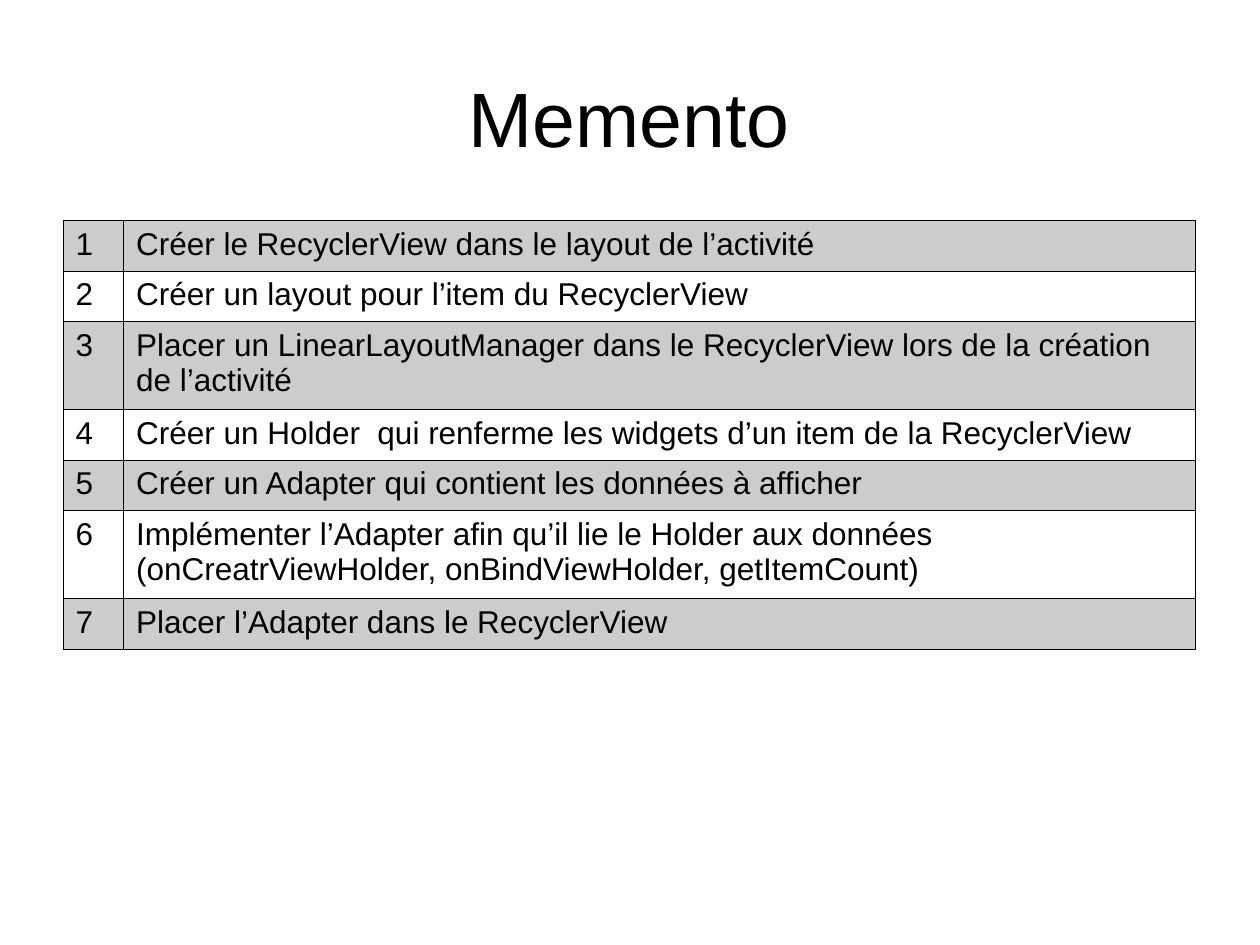
from lxml.etree import SubElement
from pptx import Presentation
from pptx.dml.color import RGBColor
from pptx.enum.text import MSO_ANCHOR, PP_ALIGN
from pptx.oxml.ns import qn
from pptx.util import Inches, Pt

STEPS = [
    "Créer le RecyclerView dans le layout de l’activité",
    "Créer un layout pour l’item du RecyclerView",
    "Placer un LinearLayoutManager dans le RecyclerView lors de la création de l’activité",
    "Créer un Holder  qui renferme les widgets d’un item de la RecyclerView",
    "Créer un Adapter qui contient les données à afficher",
    "Implémenter l’Adapter afin qu’il lie le Holder aux données "
    "(onCreatrViewHolder, onBindViewHolder, getItemCount)",
    "Placer l’Adapter dans le RecyclerView",
]
TWO_LINE_STEPS = (3, 6)
COLUMN_WIDTHS = (0.48, 8.51)


def color(hex_value):
    return RGBColor.from_string(hex_value)


class SlideBuilder:
    ink = "000000"
    band_opacity = 20
    border_width = Pt(0.45)
    title_font = {"name": "Arial", "size": Pt(44), "bold": False}
    body_font = {"name": "Arial", "size": Pt(18), "bold": False}

    def __init__(self, slide):
        self.slide = slide

    def add_text(self, paragraph, text, font_format):
        run = paragraph.add_run()
        run.text = text
        for name, value in font_format.items():
            setattr(run.font, name, value)
        run.font.color.rgb = color(self.ink)

    def add_title(self, text, left, top, width, height):
        box = self.slide.shapes.add_textbox(
            Inches(left), Inches(top), Inches(width), Inches(height))
        frame = box.text_frame
        frame.word_wrap = True
        frame.vertical_anchor = MSO_ANCHOR.MIDDLE
        paragraph = frame.paragraphs[0]
        paragraph.alignment = PP_ALIGN.CENTER
        self.add_text(paragraph, text, self.title_font)

    def add_borders(self, cell):
        properties = cell._tc.get_or_add_tcPr()
        for side in ("lnL", "lnR", "lnT", "lnB"):
            line = SubElement(properties, qn(f"a:{side}"), w=str(int(self.border_width)))
            fill = SubElement(line, qn("a:solidFill"))
            SubElement(fill, qn("a:srgbClr"), val=self.ink)

    def fill_cell(self, cell, shaded):
        if not shaded:
            cell.fill.background()
            return
        cell.fill.solid()
        cell.fill.fore_color.rgb = color(self.ink)
        fill_color = cell._tc.tcPr.find(qn("a:solidFill")).find(qn("a:srgbClr"))
        SubElement(fill_color, qn("a:alpha"), val=str(self.band_opacity * 1000))

    def add_step_table(self, steps, left, top):
        heights = [0.7 if number in TWO_LINE_STEPS else 0.4
                   for number in range(1, len(steps) + 1)]
        table = self.slide.shapes.add_table(
            len(steps), len(COLUMN_WIDTHS), Inches(left), Inches(top),
            Inches(sum(COLUMN_WIDTHS)), Inches(sum(heights))).table
        table.first_row = table.horz_banding = False
        for column, width in zip(table.columns, COLUMN_WIDTHS):
            column.width = Inches(width)
        for index, (row, height, step) in enumerate(zip(table.rows, heights, steps)):
            row.height = Inches(height)
            for cell, text in zip(row.cells, (str(index + 1), step)):
                self.add_text(cell.text_frame.paragraphs[0], text, self.body_font)
                self.add_borders(cell)
                self.fill_cell(cell, shaded=index % 2 == 0)


def main():
    presentation = Presentation()
    presentation.slide_width = Inches(10)
    presentation.slide_height = Inches(7.5)
    builder = SlideBuilder(presentation.slides.add_slide(presentation.slide_layouts[6]))
    builder.add_title("Memento", 0.5, 0.14, 8.99, 1.57)
    builder.add_step_table(STEPS, 0.5, 1.75)
    presentation.save("out.pptx")


if __name__ == "__main__":
    main()
